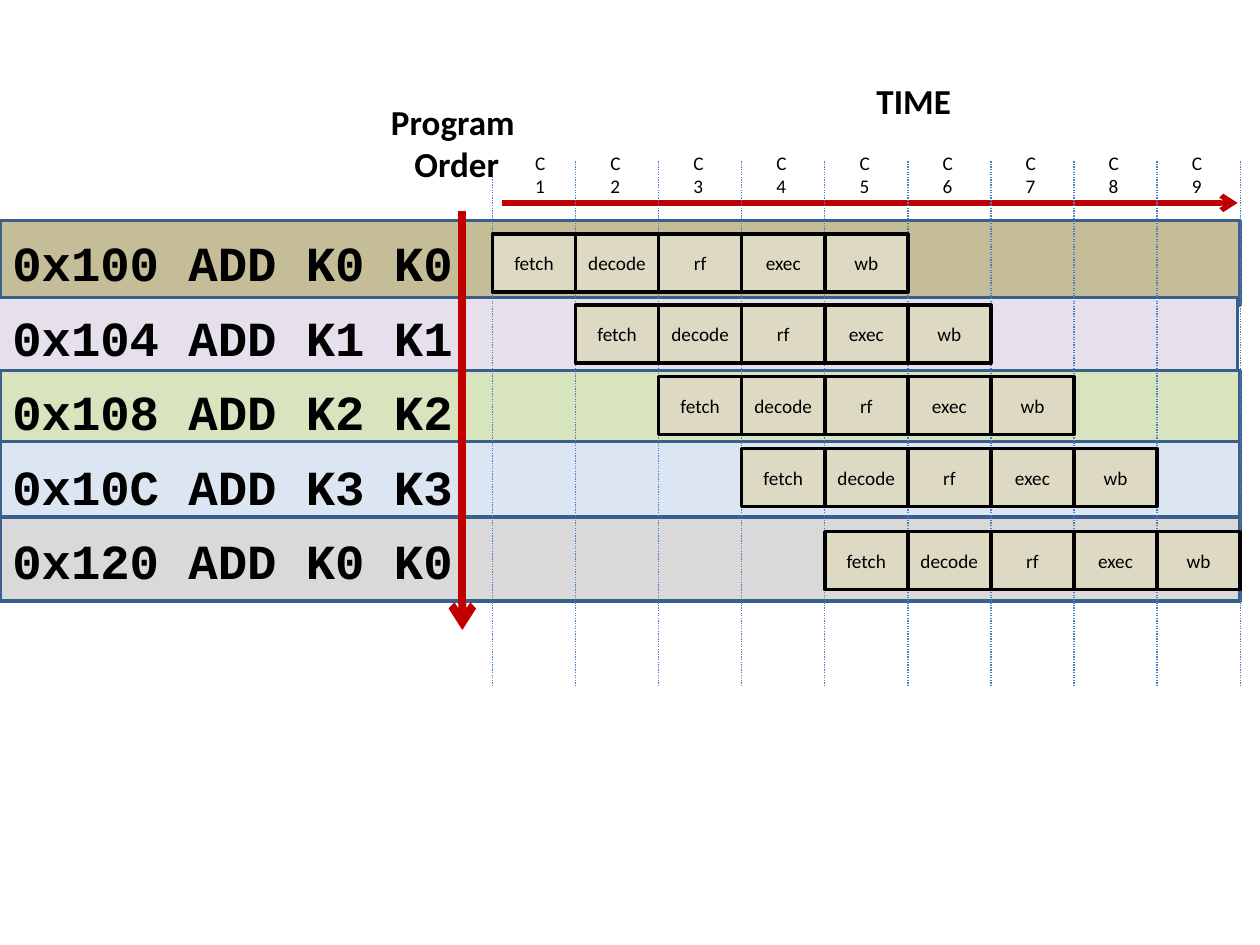
import collections

import lxml.etree
import pptx
import pptx.dml.color
import pptx.enum.dml
import pptx.enum.shapes
import pptx.enum.text
import pptx.oxml.ns
import pptx.util

Cm = pptx.util.Cm
Pt = pptx.util.Pt
RGBColor = pptx.dml.color.RGBColor
Align = pptx.enum.text.PP_ALIGN
Anchor = pptx.enum.text.MSO_ANCHOR

BLACK = RGBColor(0x00, 0x00, 0x00)
RED = RGBColor(0xC0, 0x00, 0x00)
GRID_BLUE = RGBColor(0x4B, 0x7E, 0xBC)
BAND_EDGE = RGBColor(0x3A, 0x5F, 0x8C)
STAGE_FILL = RGBColor(0xDD, 0xD9, 0xC3)
TAN = RGBColor(0xC4, 0xBD, 0x97)
LILAC = RGBColor(0xE6, 0xE0, 0xEC)
GREEN = RGBColor(0xD7, 0xE4, 0xBD)
PALE_BLUE = RGBColor(0xDC, 0xE6, 0xF2)
GREY = RGBColor(0xD9, 0xD9, 0xD9)

Box = collections.namedtuple("Box", "left top width height")
Instruction = collections.namedtuple(
    "Instruction", "text fill band_left band_top stage_top"
)

INSTRUCTIONS = [
    Instruction("0x100 ADD K0 K0", TAN, 0, 0, 1.47),
    Instruction("0x104 ADD K1 K1", LILAC, -0.05, 1.55, 2.9),
    Instruction("0x108 ADD K2 K2", GREEN, 0, 3.02, 4.34),
    Instruction("0x10C ADD K3 K3", PALE_BLUE, 0, 4.45, 5.79),
    Instruction("0x120 ADD K0 K0", GREY, 0, 5.97, 7.47),
]
STAGES = ["fetch", "decode", "rf", "exec", "wb"]
CYCLES = 9
BAND_HEIGHT = 1.7
STAGE_HEIGHT = 1.17


def format_text(frame, size, font="Calibri", bold=False, align=Align.LEFT):
    for para in frame.paragraphs:
        para.alignment = align
        for span in para.runs:
            span.font.name = font
            span.font.size = Pt(size)
            span.font.bold = bold
            span.font.color.rgb = BLACK


def add_label(page, box, text, size, wrap=False, **style):
    label = page.shapes.add_textbox(*map(Cm, box))
    frame = label.text_frame
    frame.word_wrap = wrap
    frame.text = text
    format_text(frame, size, **style)
    return frame


def add_rectangle(page, box, fill, edge):
    shape = page.shapes.add_shape(
        pptx.enum.shapes.MSO_SHAPE.RECTANGLE, *map(Cm, box)
    )
    shape.shadow.inherit = False
    shape.fill.solid()
    shape.fill.fore_color.rgb = fill
    shape.line.color.rgb = edge
    shape.line.width = Pt(2)
    return shape


def add_line(page, start, end, color, width, arrow=False):
    line = page.shapes.add_connector(
        pptx.enum.shapes.MSO_CONNECTOR.STRAIGHT, *map(Cm, start + end)
    )
    line.line.color.rgb = color
    line.line.width = Pt(width)
    qn = pptx.oxml.ns.qn
    if arrow:
        outline = line.line._get_or_add_ln()
        lxml.etree.SubElement(outline, qn("a:tailEnd")).set("type", "arrow")
    else:
        line.line.dash_style = pptx.enum.dml.MSO_LINE.ROUND_DOT
    lxml.etree.SubElement(line._element.spPr, qn("a:effectLst"))


def add_bands(page, box):
    for item in INSTRUCTIONS:
        band = Box(box.left + item.band_left, box.top + item.band_top,
                   box.width, BAND_HEIGHT)
        add_rectangle(page, band, item.fill, BAND_EDGE)


def add_listing(page, box):
    text = "\n".join(item.text for item in INSTRUCTIONS)
    frame = add_label(page, box, text, 28, wrap=True, font="Courier New", bold=True)
    for index, para in enumerate(frame.paragraphs):
        para.line_spacing = 1.1
        para.space_before = Pt(5.6 if index else 0)


def add_stage(page, box, name):
    shape = add_rectangle(page, box, STAGE_FILL, BLACK)
    frame = shape.text_frame
    frame.margin_left = frame.margin_right = 0
    frame.vertical_anchor = Anchor.MIDDLE
    frame.text = name
    format_text(frame, 11, align=Align.CENTER)


def add_timeline(page, box):
    step = box.width / CYCLES
    axis = box.top + 0.84
    add_line(page, (box.left + 0.18, axis), (box.left + box.width - 0.05, axis),
             RED, 3, arrow=True)
    add_label(page, Box(box.left + 7.49, box.top - 1.78, 2.03, 1.12),
              "TIME", 20, bold=True)
    for column in range(CYCLES + 1):
        x = box.left + column * step
        add_line(page, (x, box.top), (x, box.top + box.height), GRID_BLUE, 0.75)
    for row, item in enumerate(INSTRUCTIONS):
        for column, name in enumerate(STAGES, row):
            stage = Box(box.left + column * step, box.top + item.stage_top,
                        step, STAGE_HEIGHT)
            add_stage(page, stage, name)
    for column in range(CYCLES):
        offset = 0.45 if column else 0.61
        label = Box(box.left + column * step + offset, box.top - 0.33, 0.89, 0.74)
        add_label(page, label, f"C{column + 1}", 11, wrap=True)


def add_program_order(page, box):
    x = box.left + 1.7
    add_line(page, (x, box.top + 2.34), (x, box.top + box.height),
             RED, 4.5, arrow=True)
    add_label(page, Box(box.left, box.top, box.width, 1.96),
              "Program\v Order", 20, bold=True, align=Align.CENTER)


def main():
    deck = pptx.Presentation()
    deck.slide_width = Cm(25.4)
    deck.slide_height = Cm(19.05)
    page = deck.slides.add_slide(deck.slide_layouts[6])
    add_bands(page, Box(0, 4.45, 25, 7.67))
    add_listing(page, Box(0, 4.45, 24.13, 12.57))
    add_timeline(page, Box(9.93, 3.25, 15.07, 10.59))
    add_program_order(page, Box(7.62, 1.91, 3.02, 10.79))
    deck.save("out.pptx")


if __name__ == "__main__":
    main()
